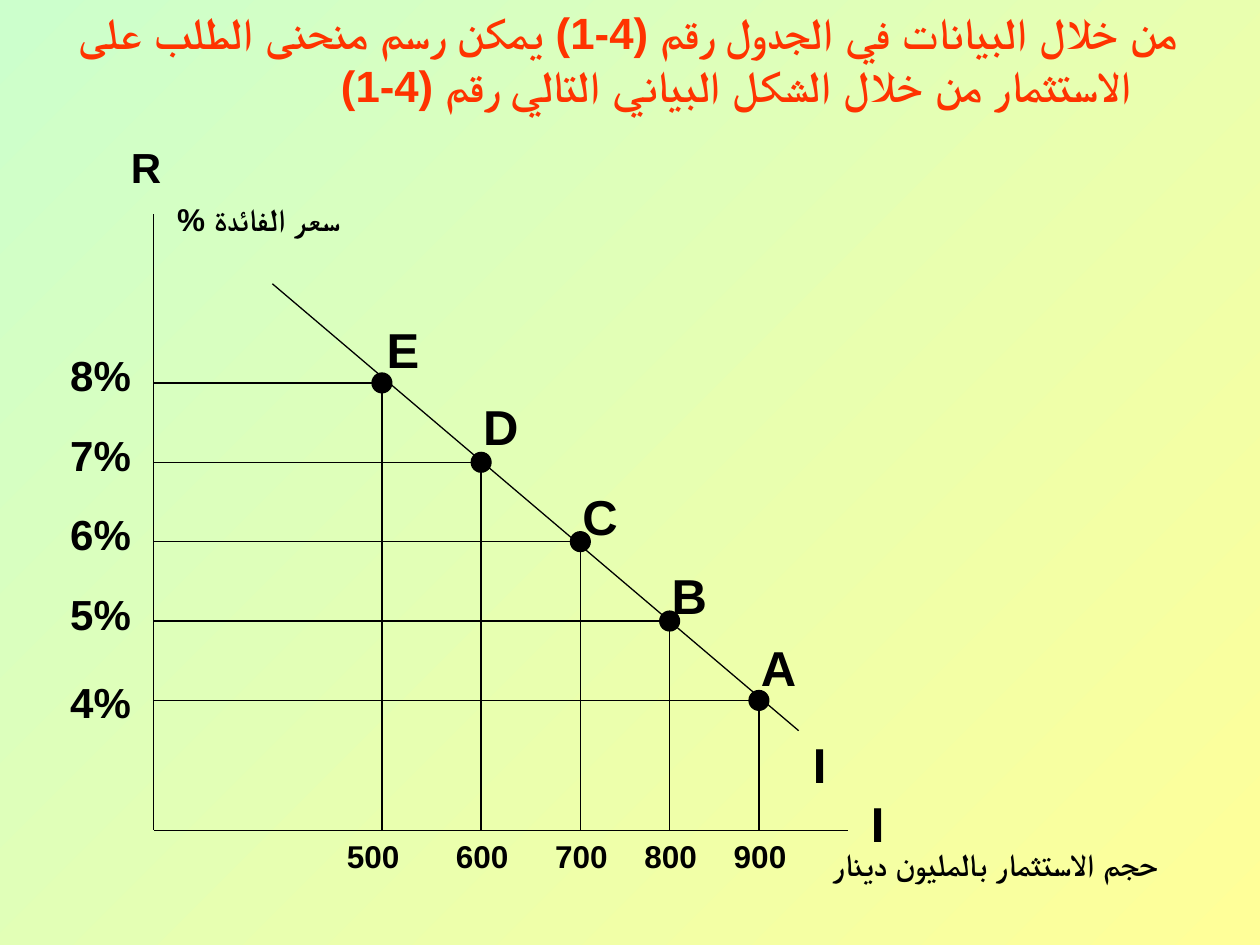
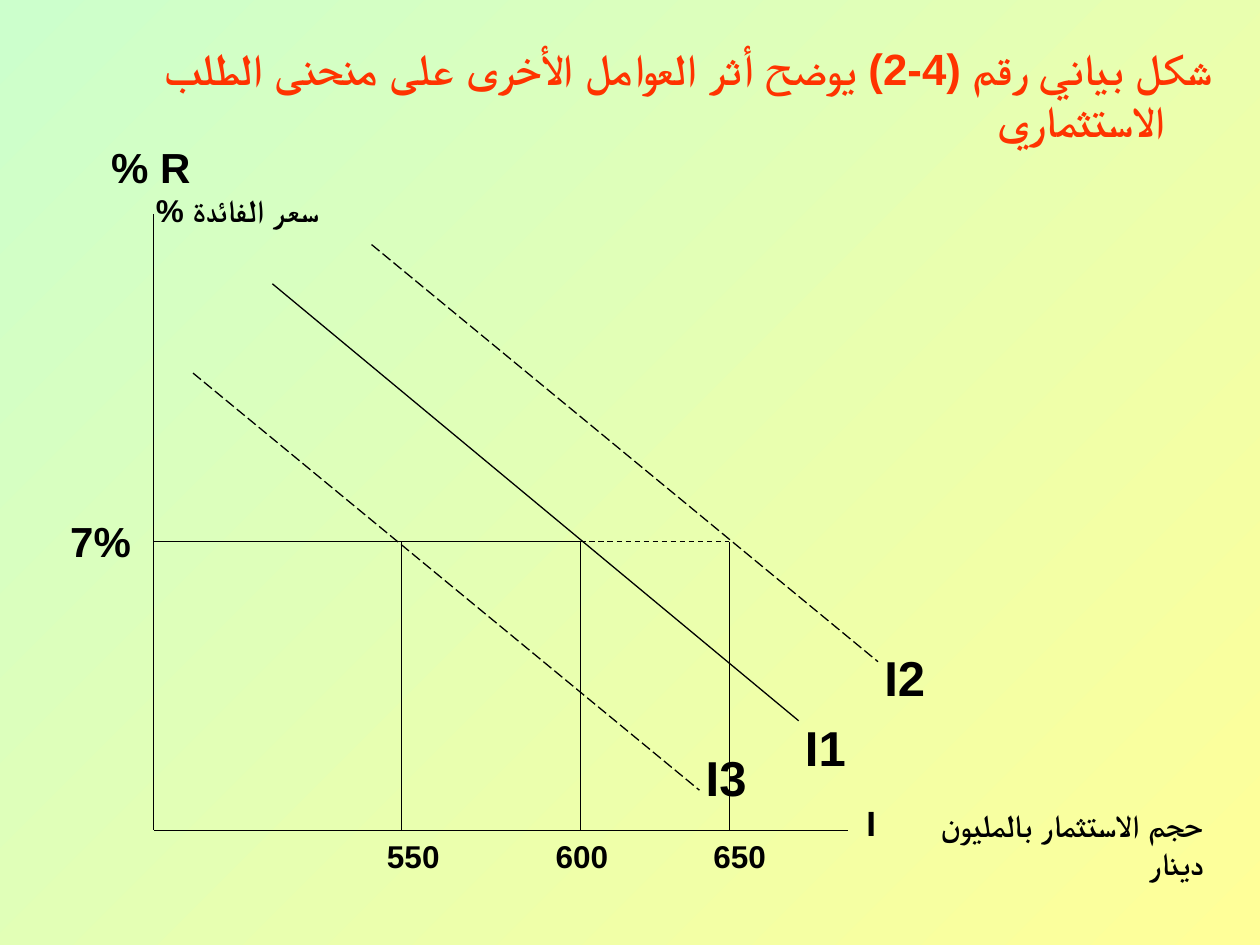
from dataclasses import dataclass

from lxml.etree import SubElement
from pptx import Presentation
from pptx.dml.color import RGBColor
from pptx.enum.dml import MSO_LINE
from pptx.enum.shapes import MSO_CONNECTOR, MSO_SHAPE
from pptx.enum.text import MSO_AUTO_SIZE, PP_ALIGN
from pptx.oxml.ns import qn
from pptx.slide import Slide
from pptx.util import Cm, Pt

COLORS = {"title": "FF3300", "ink": "000000", "mint": "CCFFCC", "cream": "FFFF99"}
FONT = "Arial"

# Axes and label boxes, in centimetres
AXIS_X, AXIS_TOP, AXIS_Y, AXIS_END = 3.1, 4.32, 16.74, 17.1
LABEL_W = 2.2
RATE_X = 0.69
DOT = 0.4

RATE_AXIS = "سعر الفائدة %"
VOLUME_AXIS = "حجم الاستثمار بالمليون دينار"


@dataclass
class DemandPoint:
    name: str
    rate: str
    volume: str
    x: float
    y: float
    name_y: float
    rate_dy: float = -0.79
    volume_dx: float = -1.4


@dataclass
class Curve:
    name: str
    start: tuple[float, float]
    end: tuple[float, float]
    name_dy: float
    dash: MSO_LINE | None = None


@dataclass
class Volume:
    text: str
    x: float
    label_x: float


RATE_TOP, RATE_STEP = 7.72, 1.6
POINTS = [
    DemandPoint("E", "8%", "500", 7.7, RATE_TOP, 6.32, volume_dx=-1.6),
    DemandPoint("D", "7%", "600", 9.7, RATE_TOP + RATE_STEP, 7.87),
    DemandPoint("C", "6%", "700", 11.7, RATE_TOP + 2 * RATE_STEP, 9.68),
    DemandPoint("B", "5%", "800", 13.5, RATE_TOP + 3 * RATE_STEP, 11.28),
    DemandPoint("A", "4%", "900", 15.3, RATE_TOP + 4 * RATE_STEP, 12.73, rate_dy=-0.61),
]
CURVES = [
    Curve("I1", (5.49, 5.72), (16.1, 14.53), -0.2),
    Curve("I2", (7.49, 4.93), (17.7, 13.34), -0.41, MSO_LINE.LONG_DASH),
    Curve("I3", (3.89, 7.52), (14.1, 15.93), -0.99, MSO_LINE.LONG_DASH),
]
VOLUMES = [Volume("550", 8.1, 6.91), Volume("600", 11.7, 10.31), Volume("650", 14.7, 13.49)]


def rgb(name: str) -> RGBColor:
    return RGBColor.from_string(COLORS[name])


def add_text(s: Slide, text: str, x: float, y: float, w: float = LABEL_W, h: float = 1.0, *,
             size: float = 18, color: str = "ink", hanging: float = 0) -> None:
    """Add a bold right-to-left text box."""
    sp = s.shapes.add_textbox(Cm(x), Cm(y), Cm(w), Cm(h))
    tf = sp.text_frame
    tf.word_wrap = True
    tf.auto_size = MSO_AUTO_SIZE.SHAPE_TO_FIT_TEXT
    p = tf.paragraphs[0]
    p.alignment = PP_ALIGN.RIGHT
    p.space_before = Pt(size * 0.625)
    pPr = p._p.get_or_add_pPr()
    pPr.set("rtl", "1")
    if hanging:
        pPr.set("marL", str(Cm(hanging)))
        pPr.set("indent", str(-Cm(hanging)))
    r = p.add_run()
    r.text = text
    r.font.name, r.font.size, r.font.bold = FONT, Pt(size), True
    r.font.color.rgb = rgb(color)
    SubElement(r._r.get_or_add_rPr(), qn("a:cs")).set("typeface", FONT)


def add_line(s: Slide, start: tuple[float, float], end: tuple[float, float],
             dash: MSO_LINE | None = None) -> None:
    line = s.shapes.add_connector(MSO_CONNECTOR.STRAIGHT, *(Cm(v) for v in (*start, *end)))
    line.line.color.rgb = rgb("ink")
    line.line.width = Pt(0.75)
    if dash is not None:
        line.line.dash_style = dash
    SubElement(line._element.spPr, qn("a:effectLst"))


def add_dot(s: Slide, x: float, y: float) -> None:
    sp = s.shapes.add_shape(MSO_SHAPE.OVAL, Cm(x - DOT / 2), Cm(y - DOT / 2), Cm(DOT), Cm(DOT))
    sp.shadow.inherit = False
    sp.fill.solid()
    sp.fill.fore_color.rgb = rgb("ink")
    sp.line.color.rgb = rgb("ink")
    sp.line.width = Pt(0.75)


def add_graph_slide(prs: Presentation, title: str, x: float, y: float) -> Slide:
    """Add a slide with the gradient, the title and both axes."""
    s = prs.slides.add_slide(prs.slide_layouts[6])
    fill = s.background.fill
    fill.gradient()
    fill.gradient_angle = 315
    for stop, name in zip(fill.gradient_stops, ("mint", "cream")):
        stop.color.rgb = rgb(name)
    add_text(s, title, x, y, 24, 2.39, size=25, color="title", hanging=0.95)
    add_line(s, (AXIS_X, AXIS_TOP), (AXIS_X, AXIS_Y))
    add_line(s, (AXIS_X, AXIS_Y), (AXIS_END, AXIS_Y))
    return s


def add_demand_slide(prs: Presentation) -> None:
    s = add_graph_slide(prs, "من خلال البيانات في الجدول رقم (4-1) يمكن رسم منحنى الطلب على "
                             "الاستثمار من خلال الشكل البياني التالي رقم (4-1)", 0, 0)
    # Axis names
    add_text(s, RATE_AXIS, 1.7, 3.91, 5.41)
    add_text(s, VOLUME_AXIS, 15.7, 16.92, 7.9)
    add_text(s, "R", 1.7, 2.72, 1.8, 1.27, size=24)
    add_text(s, "I", 15.49, 15.88, 2.59, 1.45, size=28)
    # Demand curve and its points
    add_line(s, (5.49, 5.72), (16.1, 14.73))
    add_text(s, "I", 14.71, 14.68, h=1.45, size=28)
    for pt in POINTS:
        add_line(s, (AXIS_X, pt.y), (pt.x, pt.y))
        add_line(s, (pt.x, pt.y), (pt.x, AXIS_Y))
        add_text(s, pt.rate, RATE_X, pt.y + pt.rate_dy, h=1.27, size=24)
        add_text(s, pt.volume, pt.x + pt.volume_dx, AXIS_Y)
        add_text(s, pt.name, pt.x - 1.2, pt.name_y, h=1.45, size=28)
        add_dot(s, pt.x, pt.y)


def add_shift_slide(prs: Presentation) -> None:
    s = add_graph_slide(prs, "شكل بياني رقم (4-2) يوضح أثر العوامل الأخرى على منحنى الطلب "
                             "الاستثماري", 0.69, 0.71)
    # Axis names
    add_text(s, "R %", 1.3, 2.72, 2.79, 1.27, size=24)
    add_text(s, RATE_AXIS, 2.69, 3.73, 3.99)
    add_text(s, "I", 10.11, 16.03, 7.8, 1.12, size=20)
    add_text(s, VOLUME_AXIS, 17.91, 16.13, 6.6, 1.78)
    # Curves
    for c in CURVES:
        add_line(s, c.start, c.end, c.dash)
        add_text(s, c.name, c.end[0] - 1, c.end[1] + c.name_dy, h=1.45, size=28)
    # Investment at one interest rate
    rate_y = 10.92
    base, raised = VOLUMES[1], VOLUMES[2]
    add_text(s, "7%", RATE_X, 10.26, h=1.27, size=24)
    add_line(s, (AXIS_X, rate_y), (base.x, rate_y))
    add_line(s, (base.x, rate_y), (raised.x, rate_y), MSO_LINE.DASH)
    for v in VOLUMES:
        add_line(s, (v.x, rate_y), (v.x, AXIS_Y))
        add_text(s, v.text, v.label_x, AXIS_Y)


def main() -> None:
    prs = Presentation()
    prs.slide_width, prs.slide_height = Cm(25.4), Cm(19.05)
    add_demand_slide(prs)
    add_shift_slide(prs)
    prs.save("out.pptx")


if __name__ == "__main__":
    main()
